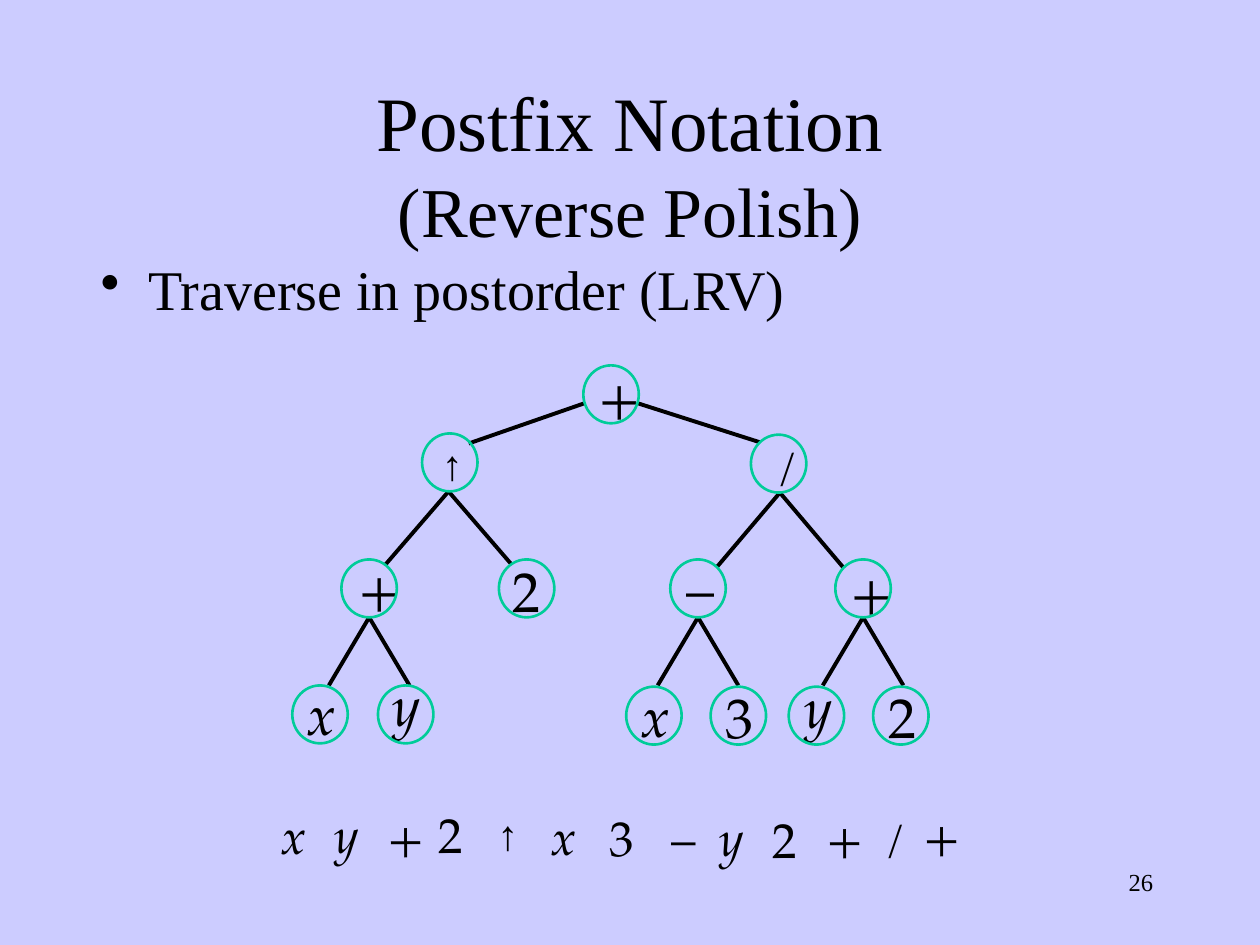
from typing import NamedTuple

from lxml import etree
from pptx import Presentation
from pptx.dml.color import RGBColor
from pptx.enum.shapes import MSO_CONNECTOR, MSO_SHAPE
from pptx.enum.text import MSO_ANCHOR, MSO_AUTO_SIZE, PP_ALIGN
from pptx.oxml.ns import qn
from pptx.util import Inches, Pt

LEFT, CENTER, RIGHT = PP_ALIGN.LEFT, PP_ALIGN.CENTER, PP_ALIGN.RIGHT
TOP, MIDDLE = MSO_ANCHOR.TOP, MSO_ANCHOR.MIDDLE
GROW = MSO_AUTO_SIZE.SHAPE_TO_FIT_TEXT
OVAL, LINE = MSO_SHAPE.OVAL, MSO_CONNECTOR.STRAIGHT

BLACK = RGBColor(0x00, 0x00, 0x00)
GREEN = RGBColor(0x00, 0xCC, 0x99)
LILAC = RGBColor(0xCC, 0xCC, 0xFF)

SERIF, MATH, ARROW = "Times New Roman", "TeX Gyre Pagella", "Arial"
NODE_W, NODE_H = 0.44, 0.46


class Sign(NamedTuple):
    """A symbol and the top left corner of its text box."""
    text: str
    x: float
    y: float
    slant: bool = False


class Node(NamedTuple):
    """A circle's top left corner and the symbol in it."""
    x: float
    y: float
    sign: Sign


class Fork(NamedTuple):
    """Two edges that fall from one point to both sides."""
    x: float
    y: float
    half: float
    drop: float


NODES = [
    Node(4.63, 2.9, Sign("+", 4.65, 2.82)),
    Node(3.35, 3.44, Sign("↑", 3.41, 3.43)),
    Node(5.96, 3.45, Sign("/", 6.07, 3.43)),
    Node(2.71, 4.44, Sign("+", 2.75, 4.34)),
    Node(3.96, 4.44, Sign("2", 3.97, 4.37)),
    Node(5.32, 4.44, Sign("–", 5.35, 4.34)),
    Node(6.63, 4.44, Sign("+", 6.65, 4.37)),
    Node(2.32, 5.44, Sign("x", 2.34, 5.34, True)),
    Node(3.0, 5.44, Sign("y", 3.02, 5.27, True)),
    Node(4.97, 5.45, Sign("x", 4.99, 5.36, True)),
    Node(5.64, 5.45, Sign("3", 5.66, 5.37)),
    Node(6.26, 5.45, Sign("y", 6.29, 5.29, True)),
    Node(6.93, 5.45, Sign("2", 6.95, 5.37)),
]

FORKS = [
    Fork(3.56, 3.9, 0.5, 0.58),
    Fork(6.19, 3.91, 0.5, 0.59),
    Fork(2.93, 4.9, 0.32, 0.54),
    Fork(5.54, 4.9, 0.32, 0.54),
    Fork(6.85, 4.9, 0.32, 0.54),
]

POSTFIX = [
    Sign("x", 2.13, 6.34, True),
    Sign("y", 2.55, 6.33, True),
    Sign("+", 2.98, 6.35, True),
    Sign("2", 3.37, 6.33),
    Sign("↑", 3.85, 6.37),
    Sign("x", 4.27, 6.35, True),
    Sign("3", 4.73, 6.36),
    Sign("–", 5.23, 6.36),
    Sign("y", 5.6, 6.36, True),
    Sign("2", 6.02, 6.37),
    Sign("+", 6.46, 6.36),
    Sign("/", 6.93, 6.38),
    Sign("+", 7.23, 6.34, True),
]

WIDTHS = {"↑": 0.33, "/": 0.29, "–": 0.4, "y": 0.41}


def add_text(slide, x: float, y: float, w: float, h: float, text: str,
             size: float, font: str = SERIF, align=LEFT, anchor=TOP):
    box = slide.shapes.add_textbox(Inches(x), Inches(y), Inches(w), Inches(h))
    frame = box.text_frame
    frame.word_wrap = True
    frame.vertical_anchor = anchor
    para = frame.paragraphs[0]
    para.text = text
    para.alignment = align
    para.font.size = Pt(size)
    para.font.name = font
    para.font.color.rgb = BLACK
    return frame


def add_sign(slide, sign: Sign, size: int, align=LEFT, anchor=TOP,
             gap: bool = False) -> None:
    small = sign.text in "↑/"
    size = 24 if small else size
    width = WIDTHS.get(sign.text, 0.41 if size == 28 else 0.45)
    height = {24: 0.5, 28: 0.57, 32: 0.64}[size]
    font = ARROW if sign.text == "↑" else MATH
    frame = add_text(slide, sign.x, sign.y, width, height, sign.text,
                     size, font, align, anchor)
    frame.word_wrap = False
    frame.auto_size = GROW
    para = frame.paragraphs[0]
    para.font.italic = sign.slant
    if gap:
        para.space_before = Pt(size * 0.625)


def add_node(slide, node: Node) -> None:
    add_sign(slide, node.sign, 32)
    ring = slide.shapes.add_shape(OVAL, Inches(node.x), Inches(node.y),
                                  Inches(NODE_W), Inches(NODE_H))
    ring.shadow.inherit = False
    ring.fill.background()
    ring.line.color.rgb = GREEN
    ring.line.width = Pt(1.5)


def add_edge(slide, x1: float, y1: float, x2: float, y2: float) -> None:
    edge = slide.shapes.add_connector(LINE, Inches(x1), Inches(y1),
                                      Inches(x2), Inches(y2))
    edge.line.color.rgb = BLACK
    edge.line.width = Pt(2.25)
    etree.SubElement(edge._element.spPr, qn("a:effectLst"))


def add_bullet(para, indent: float) -> None:
    props = para._p.get_or_add_pPr()
    props.set("marL", str(Inches(indent)))
    props.set("indent", str(-Inches(indent)))
    etree.SubElement(props, qn("a:buChar")).set("char", "•")
    # The bullet must come before the default run properties
    props.append(props.find(qn("a:defRPr")))


def main() -> None:
    deck = Presentation()
    deck.slide_width, deck.slide_height = Inches(10), Inches(7.5)
    slide = deck.slides.add_slide(deck.slide_layouts[6])
    slide.background.fill.solid()
    slide.background.fill.fore_color.rgb = LILAC

    # Page number, title and bullet
    add_text(slide, 7.17, 6.83, 2.08, 0.5, "26", 14, align=RIGHT)
    title = add_text(slide, 0.75, 0.67, 8.5, 1.25,
                     "Postfix Notation\v(Reverse Polish)", 44,
                     align=CENTER, anchor=MIDDLE)
    title.paragraphs[0].runs[1].font.size = Pt(40)
    body = add_text(slide, 0.7, 2.03, 6.6, 0.56,
                    "Traverse in postorder (LRV)", 32)
    point = body.paragraphs[0]
    point.line_spacing = 0.9
    point.space_before = Pt(8)
    add_bullet(point, 0.38)

    # Expression in postfix order
    for sign in POSTFIX:
        add_sign(slide, sign, 28, CENTER, MIDDLE, gap=True)

    # Expression tree
    add_edge(slide, 4.64, 3.2, 3.72, 3.52)
    add_edge(slide, 5.06, 3.2, 6.03, 3.51)
    for fork in FORKS:
        for side in (-1, 1):
            add_edge(slide, fork.x, fork.y,
                     fork.x + side * fork.half, fork.y + fork.drop)
    for node in NODES:
        add_node(slide, node)

    deck.save("out.pptx")


if __name__ == "__main__":
    main()
